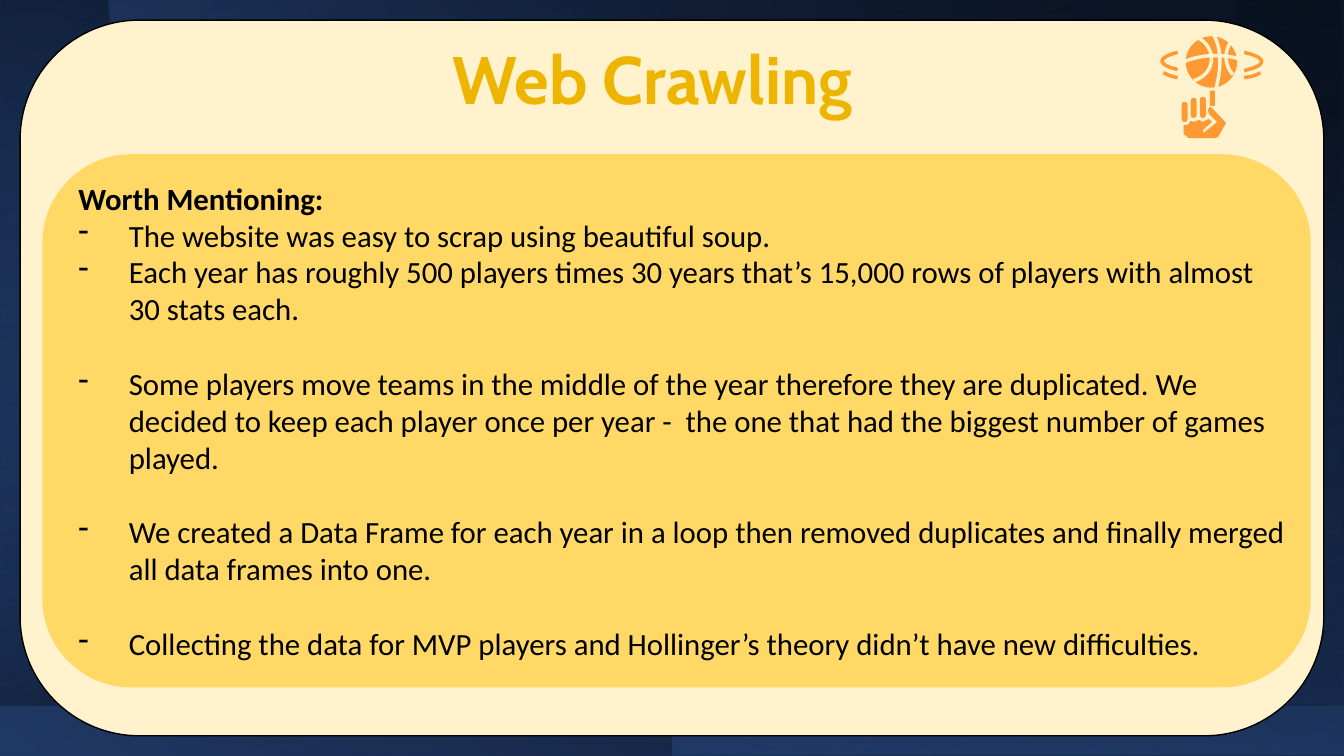
from dataclasses import dataclass

from lxml.etree import SubElement
from pptx import Presentation
from pptx.dml.color import RGBColor
from pptx.enum.shapes import MSO_SHAPE
from pptx.enum.text import MSO_AUTO_SIZE, PP_ALIGN
from pptx.oxml.ns import qn
from pptx.util import Inches, Pt


@dataclass(frozen=True)
class Theme:
    navy: str = "203864"
    blue: str = "2F5597"
    sky: str = "4472C4"
    black: str = "000000"
    cream: str = "FFF2CC"
    amber: str = "FFC000"
    gold: str = "EEB500"
    orange: str = "FF9933"
    title_font: str = "Cabin"
    body_font: str = "Calibri"
    title_size: float = 48
    body_size: float = 22
    paragraph_gap: float = 26.8
    icon_line: float = 2.5


def curve(start, *bends, steps=24):
    """Points along a chain of cubic curves, each bend being two handles and an end."""
    points = [start]
    for first, second, end in bends:
        origin = points[-1]
        for step in range(1, steps + 1):
            t = step / steps
            u = 1 - t
            points.append(tuple(
                u**3 * a + 3 * u * u * t * b + 3 * u * t * t * c + t**3 * d
                for a, b, c, d in zip(origin, first, second, end)))
    return points


class SlideBuilder:
    def __init__(self, page, theme):
        self.page = page
        self.theme = theme

    def finish(self, shape, fill=None, opacity=100, line=None, width=1):
        """Give a shape its fill and outline."""
        shape.shadow.inherit = False
        if fill:
            shape.fill.solid()
            shape.fill.fore_color.rgb = RGBColor.from_string(fill)
            self.set_opacity(shape, [opacity])
        else:
            shape.fill.background()
        if line:
            shape.line.color.rgb = RGBColor.from_string(line)
            shape.line.width = Pt(width)
        else:
            shape.line.fill.background()
        return shape

    def set_opacity(self, shape, opacities):
        colors = shape._element.spPr.iter(qn("a:srgbClr"))
        for color, opacity in zip(list(colors), opacities):
            if opacity < 100:
                SubElement(color, qn("a:alpha"), val=str(opacity * 1000))

    def gradient(self, shape, stops, angle):
        """Two stops, each a position, a colour and an opacity; angle runs clockwise."""
        self.finish(shape)
        shape.fill.gradient()
        shape.fill.gradient_angle = 360 - angle
        for stop, (position, color, _) in zip(shape.fill.gradient_stops, stops):
            stop.position = position / 100
            stop.color.rgb = RGBColor.from_string(color)
        self.set_opacity(shape, [opacity for _, _, opacity in stops])

    def shape(self, kind, area, **style):
        box = self.page.shapes.add_shape(kind, *map(Inches, area))
        return self.finish(box, **style)

    def layer(self, area, stops, angle, rotation=0, flip=True):
        box = self.shape(MSO_SHAPE.RECTANGLE, area)
        box.rotation = rotation
        if flip:
            box._element.spPr.xfrm.set("flipH", "1")
        self.gradient(box, stops, angle)

    def outline(self, points, close=True, **style):
        first, *rest = [tuple(map(Inches, point)) for point in points]
        builder = self.page.shapes.build_freeform(*first)
        builder.add_line_segments(rest, close=close)
        return self.finish(builder.convert_to_shape(), **style)

    def text(self, area, paragraphs):
        box = self.page.shapes.add_textbox(*map(Inches, area))
        frame = box.text_frame
        frame.word_wrap = True
        frame.text = "\n".join(paragraphs)
        frame.auto_size = MSO_AUTO_SIZE.SHAPE_TO_FIT_TEXT
        return frame.paragraphs

    def font(self, paragraph, name, size, color, bold=False):
        for span in paragraph.runs:
            span.font.name = name
            span.font.size = Pt(size)
            span.font.bold = bold
            span.font.color.rgb = RGBColor.from_string(color)

    def title(self, area, words):
        paragraph = self.text(area, [words])[0]
        paragraph.alignment = PP_ALIGN.CENTER
        paragraph.line_spacing = 0.9
        paragraph.space_after = Pt(6)
        theme = self.theme
        self.font(paragraph, theme.title_font, theme.title_size, theme.gold, True)

    def dashed_list(self, area, heading, items):
        """A bold heading, then dashed items: pairs of words and a gap-before flag."""
        theme = self.theme
        head, *rest = self.text(area, [heading] + [words for words, _ in items])
        self.font(head, theme.body_font, theme.body_size, theme.black, True)
        for paragraph, (_, gap) in zip(rest, items):
            properties = paragraph._p.get_or_add_pPr()
            properties.set("marL", str(Inches(0.5)))
            properties.set("indent", str(-Inches(0.5)))
            SubElement(properties, qn("a:buChar"), char="-")
            if gap:
                paragraph.space_before = Pt(theme.paragraph_gap)
            self.font(paragraph, theme.body_font, theme.body_size, theme.black)

    def spinning_ball(self):
        theme = self.theme
        # Ball and its seams
        self.shape(MSO_SHAPE.OVAL, (11.76, 0.36, 0.51, 0.51), fill=theme.orange)
        seams = [
            ((11.75, 0.61), ((11.9, 0.55), (12.08, 0.53), (12.28, 0.58))),
            ((12.04, 0.35), ((12.11, 0.48), (12.12, 0.65), (12.06, 0.88))),
            ((11.89, 0.38), ((12.06, 0.47), (12.07, 0.73), (11.84, 0.8))),
            ((12.2, 0.43), ((12.14, 0.52), (12.15, 0.66), (12.23, 0.74))),
        ]
        # Motion lines on both sides
        motion = [
            ((11.68, 0.52), ((11.48, 0.57), (11.47, 0.64), (11.68, 0.69))),
            ((12.34, 0.52), ((12.57, 0.57), (12.57, 0.65), (12.34, 0.7))),
            ((11.54, 0.72), ((11.57, 0.74), (11.62, 0.76), (11.68, 0.77))),
            ((12.5, 0.72), ((12.46, 0.75), (12.41, 0.76), (12.34, 0.77))),
        ]
        for color, strokes in ((theme.cream, seams), (theme.orange, motion)):
            for start, bend in strokes:
                self.outline(curve(start, bend), close=False,
                             line=color, width=theme.icon_line)
        # Hand: folded fingers, raised finger, palm with thumb
        for left, top, height in ((11.72, 1.01, 0.2), (11.81, 0.97, 0.2), (11.9, 0.96, 0.21)):
            finger = self.shape(MSO_SHAPE.ROUNDED_RECTANGLE, (left, top, 0.06, height),
                                fill=theme.orange)
            finger.adjustments[0] = 0.5
        self.shape(MSO_SHAPE.RECTANGLE, (12, 0.9, 0.05, 0.15), fill=theme.orange)
        self.outline([
            (11.74, 1.24), (11.78, 1.24), (11.81, 1.2), (11.84, 1.21), (11.89, 1.19),
            (11.93, 1.21), (11.99, 1.18), (12.02, 1.21), (11.93, 1.29), (11.94, 1.32),
            (11.96, 1.3), (12.05, 1.23), (12.07, 1.21), (11.99, 1.13), (11.98, 1.09),
            (12, 1.06), (12.02, 1.07), (12.16, 1.22), (12.08, 1.36), (12.05, 1.37),
            (11.79, 1.37), (11.74, 1.33)], fill=theme.orange)


def main():
    deck = Presentation()
    deck.slide_width, deck.slide_height = Inches(13.33), Inches(7.5)
    theme = Theme()
    slide = SlideBuilder(deck.slides.add_slide(deck.slide_layouts[6]), theme)

    # Dark layered background
    slide.layer((0, 0, 13.33, 7.5), [(0, theme.navy, 100), (100, theme.black, 100)], 230)
    slide.layer((0, 0, 13.33, 7), [(1, theme.blue, 59), (100, theme.black, 100)], 250,
                rotation=180, flip=False)
    slide.layer((2.91, -2.9, 7.5, 13.3), [(13, theme.navy, 0), (99, theme.black, 28)], 0,
                rotation=90)
    slide.layer((6.67, 0, 6.67, 7.5), [(13, theme.navy, 0), (99, theme.blue, 50)], 100)
    slide.layer((0, 0, 13.32, 7.52), [(13, theme.black, 35), (99, theme.blue, 0)], 80)
    bowl = slide.outline([(1.08, 0), (12.25, 0)] + curve(
        (12.25, 0.14),
        ((11.96, 2.97), (9.57, 5.18), (6.67, 5.18)),
        ((3.76, 5.18), (1.37, 2.97), (1.09, 0.14))))
    slide.gradient(bowl, [(7, theme.navy, 4), (99, theme.sky, 24)], 170)

    # Cards, title and icon
    slide.shape(MSO_SHAPE.ROUNDED_RECTANGLE, (0.2, 0.2, 12.93, 7.1),
                fill=theme.cream, line=theme.black)
    slide.title((0.68, 0.41, 11.58, 0.83), "Web Crawling")
    slide.shape(MSO_SHAPE.ROUNDED_RECTANGLE, (0.42, 1.53, 12.58, 5.29),
                fill=theme.amber, opacity=50)
    slide.spinning_ball()

    # Body text
    slide.dashed_list((0.68, 1.73, 12.23, 6.4), "Worth Mentioning:", [
        ("The website was easy to scrap using beautiful soup.", False),
        ("Each year has roughly 500 players times 30 years that’s 15,000 rows of players "
         "with almost 30 stats each.", False),
        ("Some players move teams in the middle of the year therefore they are duplicated. "
         "We decided to keep each player once per year -  the one that had the biggest "
         "number of games played.", True),
        ("We created a Data Frame for each year in a loop then removed duplicates and "
         "finally merged all data frames into one.", True),
        ("Collecting the data for MVP players and Hollinger’s theory didn’t have new "
         "difficulties.", True),
    ])
    deck.save("out.pptx")


if __name__ == "__main__":
    main()
